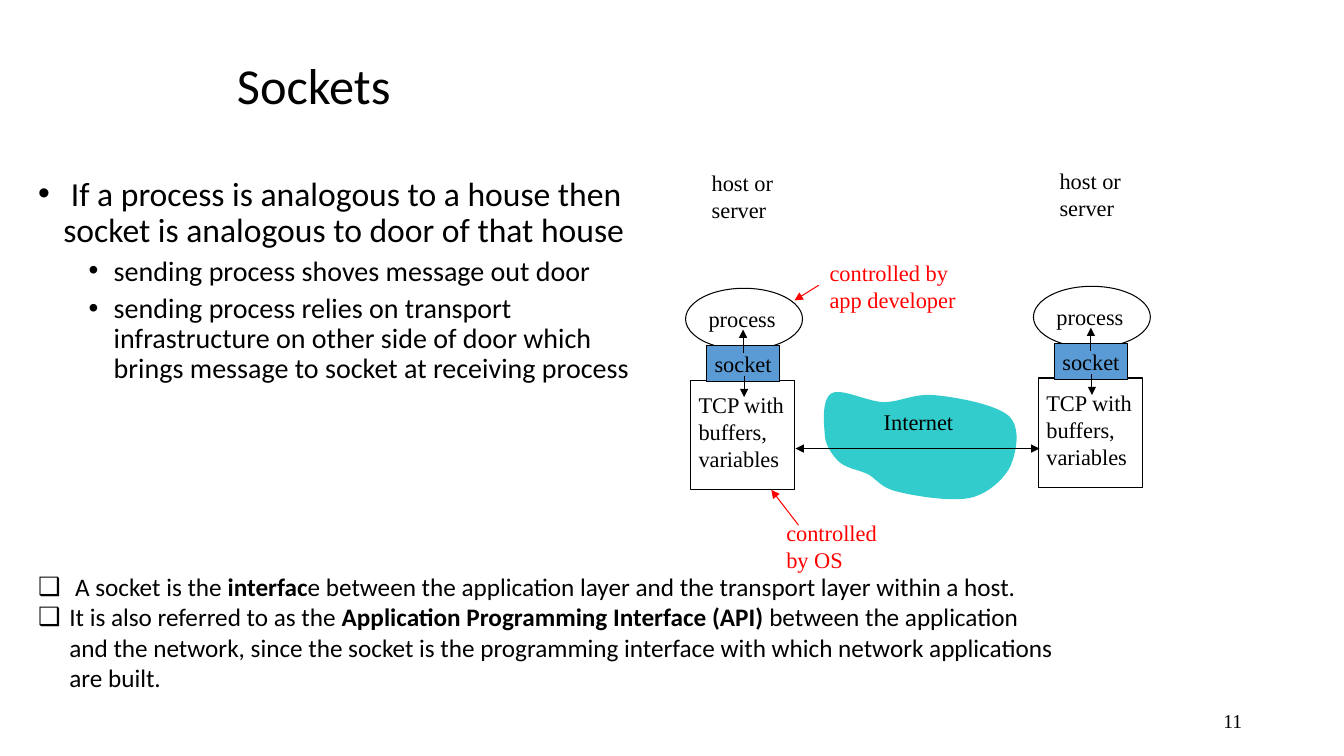
from lxml.etree import SubElement
from pptx import Presentation
from pptx.dml.color import RGBColor
from pptx.enum.shapes import MSO_CONNECTOR, MSO_SHAPE
from pptx.enum.text import MSO_ANCHOR, MSO_AUTO_SIZE, PP_ALIGN
from pptx.oxml.ns import qn
from pptx.util import Pt

PX = 9144  # EMU per px, 100 px to the inch
SANS, SERIF = "Calibri", "Times New Roman"
COLORS = {"black": "000000", "red": "FF0000", "socket": "5B9BD5", "cloud": "33CCCC"}
CLOUD_START = (818, 430)
CLOUD_CURVES = [  # two control points and an end point each
    ((817, 418), (815, 396), (825, 390)),
    ((835, 385), (859, 398), (876, 399)),
    ((893, 399), (907, 390), (927, 392)),
    ((948, 394), (988, 401), (1001, 413)),
    ((1013, 425), (1008, 449), (1002, 463)),
    ((995, 476), (980, 490), (962, 494)),
    ((943, 498), (907, 492), (891, 488)),
    ((874, 484), (871, 477), (862, 471)),
    ((852, 466), (840, 465), (832, 458)),
    ((825, 451), (818, 441), (818, 430)),
]


def emu(*lengths):
    return [round(n * PX) for n in lengths]


def rgb(name):
    return RGBColor.from_string(COLORS[name])


def write(tf, *runs, size=16, font=SERIF, color="black", align=PP_ALIGN.LEFT,
          spacing=None, before=0, bullet=None, indent=0, hang=0, level=0):
    """Add a paragraph; a run is a string, or a one-item tuple when bold."""
    p = tf.paragraphs[0] if not tf.paragraphs[0].runs else tf.add_paragraph()
    if bullet:
        pPr = p._p.get_or_add_pPr()
        pPr.set("marL", str(indent * PX))
        pPr.set("indent", str(-hang * PX))
        SubElement(pPr, qn("a:buFont")).set("typeface", "Arial")
        SubElement(pPr, qn("a:buChar")).set("char", bullet)
    p.level = level
    p.alignment = align
    p.space_before = Pt(before)
    if spacing:
        p.line_spacing = spacing
    for run in runs:
        r = p.add_run()
        r.text = run[0] if isinstance(run, tuple) else run
        r.font.bold = isinstance(run, tuple)
        r.font.size, r.font.name = Pt(size), font
        r.font.color.rgb = rgb(color)


def add_box(shapes, x, y, w, h, wrap=True):
    tf = shapes.add_textbox(*emu(x, y, w, h)).text_frame
    tf.word_wrap = wrap
    tf.auto_size = MSO_AUTO_SIZE.NONE if wrap else MSO_AUTO_SIZE.SHAPE_TO_FIT_TEXT
    return tf


def add_label(shapes, x, y, w, h, *lines, **fmt):
    tf = add_box(shapes, x, y, w, h, wrap=False)
    for line in lines:
        write(tf, line, **fmt)


def add_outline(shapes, kind, x, y, w, h, fill=None):
    sp = shapes.add_shape(kind, *emu(x, y, w, h))
    sp.shadow.inherit = False
    if fill:
        sp.fill.solid()
        sp.fill.fore_color.rgb = rgb(fill)
    else:
        sp.fill.background()
    sp.line.color.rgb = rgb("black")
    sp.line.width = Pt(0.75)
    return sp


def add_arrow(shapes, x1, y1, x2, y2, color="black", both=False):
    line = shapes.add_connector(MSO_CONNECTOR.STRAIGHT, *emu(x1, y1, x2, y2))
    line.line.color.rgb = rgb(color)
    line.line.width = Pt(0.75)
    ln = line.line._get_or_add_ln()
    for end in ("a:headEnd", "a:tailEnd") if both else ("a:tailEnd",):
        SubElement(ln, qn(end)).set("type", "triangle")
    SubElement(line._element.spPr, qn("a:effectLst"))


def add_cloud(shapes, steps=10):
    points, a = [], CLOUD_START
    for b, c, d in CLOUD_CURVES:
        for i in range(1, steps + 1):
            t = i / steps
            u = 1 - t
            points.append([u**3 * a[k] + 3 * u * u * t * b[k] + 3 * u * t * t * c[k] + t**3 * d[k]
                           for k in (0, 1)])
        a = d
    builder = shapes.build_freeform(*emu(*CLOUD_START))
    builder.add_line_segments([emu(*point) for point in points], close=True)
    sp = builder.convert_to_shape()
    sp.shadow.inherit = False
    sp.fill.solid()
    sp.fill.fore_color.rgb = rgb("cloud")
    sp.line.fill.background()


def add_host(s, x, y):
    """Draw a host whose process ellipse has its top left corner at x, y."""
    shapes = s.shapes.add_group_shape().shapes
    add_outline(shapes, MSO_SHAPE.OVAL, x, y, 116, 61)
    add_label(shapes, x + 13, y + 12, 87, 37, "process")
    add_outline(shapes, MSO_SHAPE.RECTANGLE, x + 5, y + 91, 103, 109)
    add_label(shapes, x + 3, y + 97, 106, 90, "TCP with", "buffers,", "variables")
    tf = add_outline(shapes, MSO_SHAPE.RECTANGLE, x + 21, y + 57, 72, 36, "socket").text_frame
    tf.word_wrap = False
    tf.vertical_anchor = MSO_ANCHOR.MIDDLE
    write(tf, "socket", align=PP_ALIGN.CENTER)
    add_arrow(shapes, x + 57, y + 64, x + 57, y + 41)
    add_arrow(shapes, x + 58, y + 87, x + 58, y + 108)
    add_label(shapes, x + 16, y - 123, 81, 64, "host or", "server")


def main():
    prs = Presentation()
    prs.slide_width, prs.slide_height = emu(1333, 750)
    s = prs.slides.add_slide(prs.slide_layouts[5])

    # Title and page number
    title = s.shapes.title
    title.left, title.top, title.width, title.height = emu(225, 25, 883, 125)
    title.text_frame.vertical_anchor = MSO_ANCHOR.MIDDLE
    title.text_frame.auto_size = MSO_AUTO_SIZE.NONE
    write(title.text_frame, "Sockets", size=36, font=SANS, spacing=0.9)
    tf = add_box(s.shapes, 942, 695, 300, 40)
    tf.vertical_anchor = MSO_ANCHOR.MIDDLE
    write(tf, "11", size=14, align=PP_ALIGN.RIGHT)

    # House analogy
    tf = add_box(s.shapes, 28, 171, 623, 430)
    bullets = dict(font=SANS, spacing=0.9, bullet="•", hang=25)
    write(tf, " If a process is analogous to a house then socket is analogous to door of that house",
          size=24, indent=25, **bullets)
    for text in ("sending process shoves message out door",
                 "sending process relies on transport infrastructure on other side of door "
                 "which brings message to socket at receiving process"):
        write(tf, text, size=20, indent=75, before=5, level=1, **bullets)

    # Two hosts joined through the Internet
    add_cloud(s.shapes)
    add_host(s, 680, 286)
    add_host(s, 1025, 284)
    add_label(s.shapes, 866, 400, 90, 37, "Internet", align=PP_ALIGN.CENTER)
    add_arrow(s.shapes, 789, 445, 1031, 445, both=True)

    # Who controls what
    add_label(s.shapes, 770, 510, 111, 90, "controlled", "by OS", color="red")
    add_arrow(s.shapes, 792, 521, 765, 486, "red")
    add_label(s.shapes, 813, 252, 146, 64, "controlled by", "app developer", color="red")
    add_arrow(s.shapes, 812, 283, 788, 298, "red")

    # Definition
    tf = add_box(s.shapes, 28, 562, 1030, 131)
    checks = dict(size=18, font=SANS, bullet="❑", indent=31, hang=31)
    write(tf, " A socket is the ", ("interfac",),
          "e between the application layer and the transport layer within a host.", **checks)
    write(tf, "It is also referred to as the ", ("Application Programming Interface (API) ",),
          "between the application and the network, since the socket is the programming "
          "interface with which network applications are built.", **checks)

    prs.save("out.pptx")


if __name__ == "__main__":
    main()
